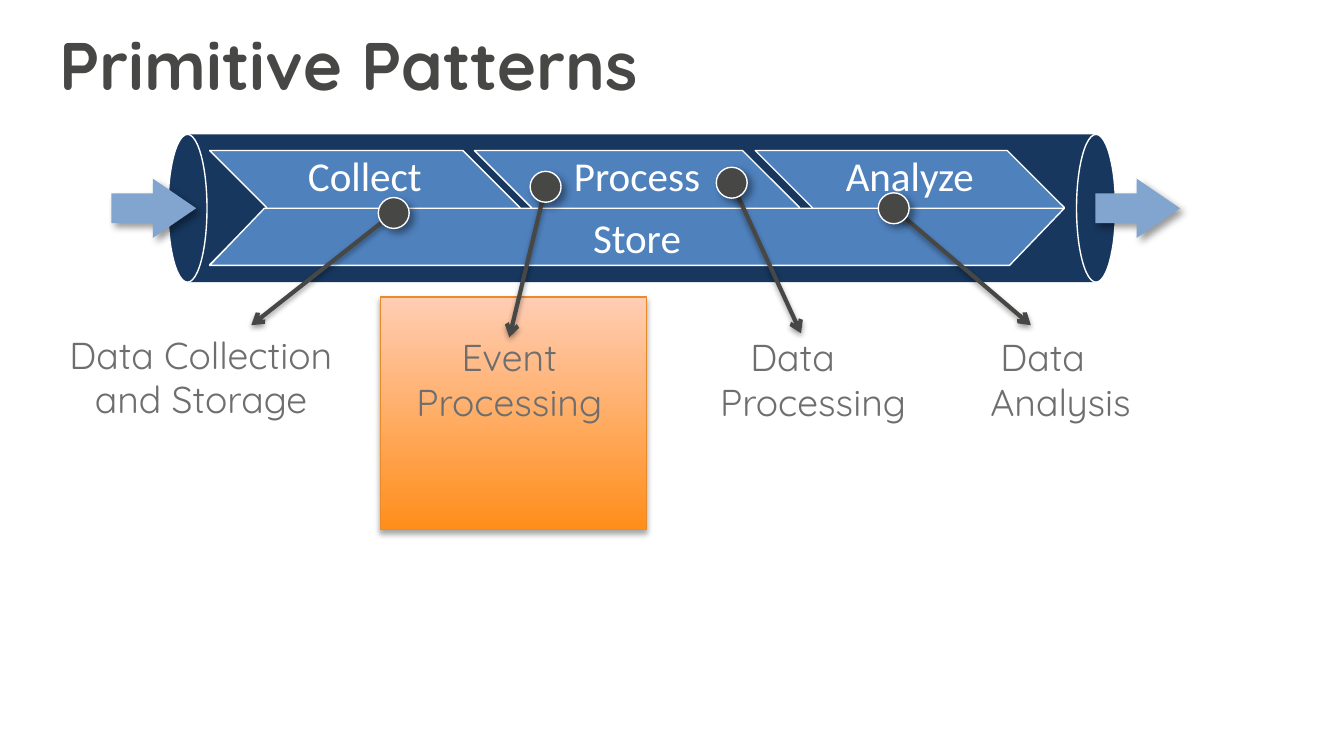
from lxml.etree import SubElement
from pptx import Presentation
from pptx.dml.color import RGBColor
from pptx.enum.shapes import MSO_CONNECTOR as Connector, MSO_SHAPE as Shape
from pptx.enum.text import MSO_ANCHOR as Anchor, PP_ALIGN as Align
from pptx.oxml.ns import qn
from pptx.util import Inches, Pt

DARK = RGBColor(0x47, 0x47, 0x46)
GREY = RGBColor(0x6D, 0x6E, 0x6D)
NAVY = RGBColor(0x17, 0x37, 0x5E)
BLUE = RGBColor(0x4F, 0x81, 0xBD)
SKY = RGBColor(0x82, 0xA5, 0xD0)
WHITE = RGBColor(0xFF, 0xFF, 0xFF)
ORANGE = RGBColor(0xFF, 0x8E, 0x1B)
PEACH = RGBColor(0xFF, 0xCD, 0xB4)
RUST = RGBColor(0xE8, 0x8B, 0x2B)

TITLE_FONT = {"name": "Quicksand", "size": Pt(36), "bold": True}
LABEL_FONT = {"name": "Quicksand", "size": Pt(20), "bold": False}
STAGE_FONT = {"name": "Calibri", "size": Pt(22), "bold": False}
FRAME = {"margin_left": Inches(0.1), "margin_right": Inches(0.1),
         "margin_top": Inches(0.05), "margin_bottom": Inches(0.05),
         "vertical_anchor": Anchor.TOP, "word_wrap": True}
TITLE_FRAME = {"margin_left": Inches(0.07), "margin_right": Inches(0.07),
               "margin_top": Inches(0.04), "margin_bottom": Inches(0.04)}

BOX_SHADOW = (35, 3.1, 1.8, 90)
LINE_SHADOW = (38, 3.1, 1.6, 90)
SOFT_SHADOW = (40, 4, 3, 45)

CENTERED = (Align.CENTER, Align.CENTER)
STEPPED = (Align.LEFT, Align.CENTER)

deck = Presentation()
deck.slide_width = Inches(10)
deck.slide_height = deck.slide_width * 9 // 16
COLUMN = ROW = deck.slide_width / 100
page = deck.slides.add_slide(deck.slide_layouts[5])
texts = []


def cells(left, top, width, height):
    return int(left * COLUMN), int(top * ROW), int(width * COLUMN), int(height * ROW)


def decorate(item, fill=None, line=None, width=0.75, shadow=None):
    if fill:
        item.fill.solid()
        item.fill.fore_color.rgb = fill
    if line:
        item.line.color.rgb = line
        item.line.width = Pt(width)
    else:
        item.line.fill.background()
    effects = SubElement(item._element.spPr, qn("a:effectLst"))
    if shadow:
        alpha, blur, distance, angle = shadow
        outer = SubElement(effects, qn("a:outerShdw"), blurRad=str(Pt(blur)), dist=str(Pt(distance)),
                           dir=str(angle * 60000), algn="ctr", rotWithShape="0")
        color = SubElement(outer, qn("a:srgbClr"), val="000000")
        SubElement(color, qn("a:alpha"), val=str(alpha * 1000))


highlight = page.shapes.add_shape(Shape.RECTANGLE, *cells(28.3, 22.1, 19.8, 17.3))
highlight.fill.gradient()
highlight.fill.gradient_angle = 90
for stop, color, position in zip(highlight.fill.gradient_stops, (ORANGE, PEACH), (0, 1)):
    stop.color.rgb, stop.position = color, position
decorate(highlight, line=RUST, shadow=BOX_SHADOW)

title = page.shapes.title
title.left, title.top, title.width, title.height = cells(3.7, 1.3, 89.7, 9.4)
texts.append((title, ["Primitive Patterns"], TITLE_FONT, DARK, [Align.LEFT], 0, TITLE_FRAME))

decorate(page.shapes.add_shape(Shape.RECTANGLE, *cells(14, 10, 67.5, 11)), NAVY)
for left in (12.5, 80.1):
    decorate(page.shapes.add_shape(Shape.OVAL, *cells(left, 10, 2.9, 11)), NAVY, WHITE)
for left in (81.5, 8.3):
    arrow = page.shapes.add_shape(Shape.RIGHT_ARROW, *cells(left, 13.3, 6.3, 4.4))
    arrow.adjustments[1] = 0.73
    decorate(arrow, SKY, shadow=SOFT_SHADOW)

for name, left, width in (("Collect", 15.6, 23.1), ("Process", 35.3, 24.2), ("Analyze", 56.2, 23)):
    stage = page.shapes.add_shape(Shape.CHEVRON, *cells(left, 11.2, width, 8.5))
    decorate(stage, BLUE, WHITE)
    texts.append((stage, [name], STAGE_FONT, WHITE, [Align.CENTER], 0, {"margin_top": 0}))

store = page.shapes.add_shape(Shape.PARALLELOGRAM, *cells(15.6, 15.5, 63.6, 4.25))
store.adjustments[0] = 0.96
decorate(store, BLUE, WHITE)
texts.append((store, ["Store"], STAGE_FONT, WHITE, [Align.CENTER], 0, {"vertical_anchor": Anchor.MIDDLE}))

DOT = 2.3
patterns = [
    (("Data Collection", "and Storage"), (3.2, 24.2, 23.5), CENTERED, 0, (29.3, 15.85), (18.7, 24.2)),
    (("Data", "Processing"), (52.6, 24.4, 16.4), STEPPED, 2.25, (54.45, 13.6), (59.6, 24.8)),
    (("Event", "Processing"), (29.7, 24.4, 16.4), CENTERED, 0, (40.6, 13.9), (37.9, 25.1)),
    (("Data", "Analysis"), (72.7, 24.4, 12.5), STEPPED, 0.75, (66.5, 15.5), (76.7, 24.2)),
]
for lines, (left, top, width), aligns, indent, (dot_x, dot_y), (tip_x, tip_y) in patterns:
    label = page.shapes.add_textbox(*cells(left, top, width, 7.7))
    texts.append((label, lines, LABEL_FONT, GREY, aligns, indent, {"word_wrap": left < 10}))
    pointer = page.shapes.add_connector(Connector.STRAIGHT, *cells(dot_x, dot_y, tip_x, tip_y))
    decorate(pointer, line=DARK, width=2.25, shadow=LINE_SHADOW)
    SubElement(pointer._element.spPr.find(qn("a:ln")), qn("a:tailEnd"), type="arrow")
    dot = page.shapes.add_shape(Shape.OVAL, *cells(dot_x - DOT / 2, dot_y - DOT / 2, DOT, DOT))
    decorate(dot, DARK, WHITE, shadow=SOFT_SHADOW)

for box, lines, font, color, aligns, indent, frame in texts:
    for name, value in {**FRAME, **frame}.items():
        setattr(box.text_frame, name, value)
    box.text_frame.text = "\n".join(lines)
    for para, align in zip(box.text_frame.paragraphs, aligns):
        para.alignment = align
        if indent and align == Align.LEFT:
            para._p.get_or_add_pPr().set("marL", str(int(indent * COLUMN)))
        for span in para.runs:
            span.font.color.rgb = color
            for name, value in font.items():
                setattr(span.font, name, value)

deck.save("out.pptx")
